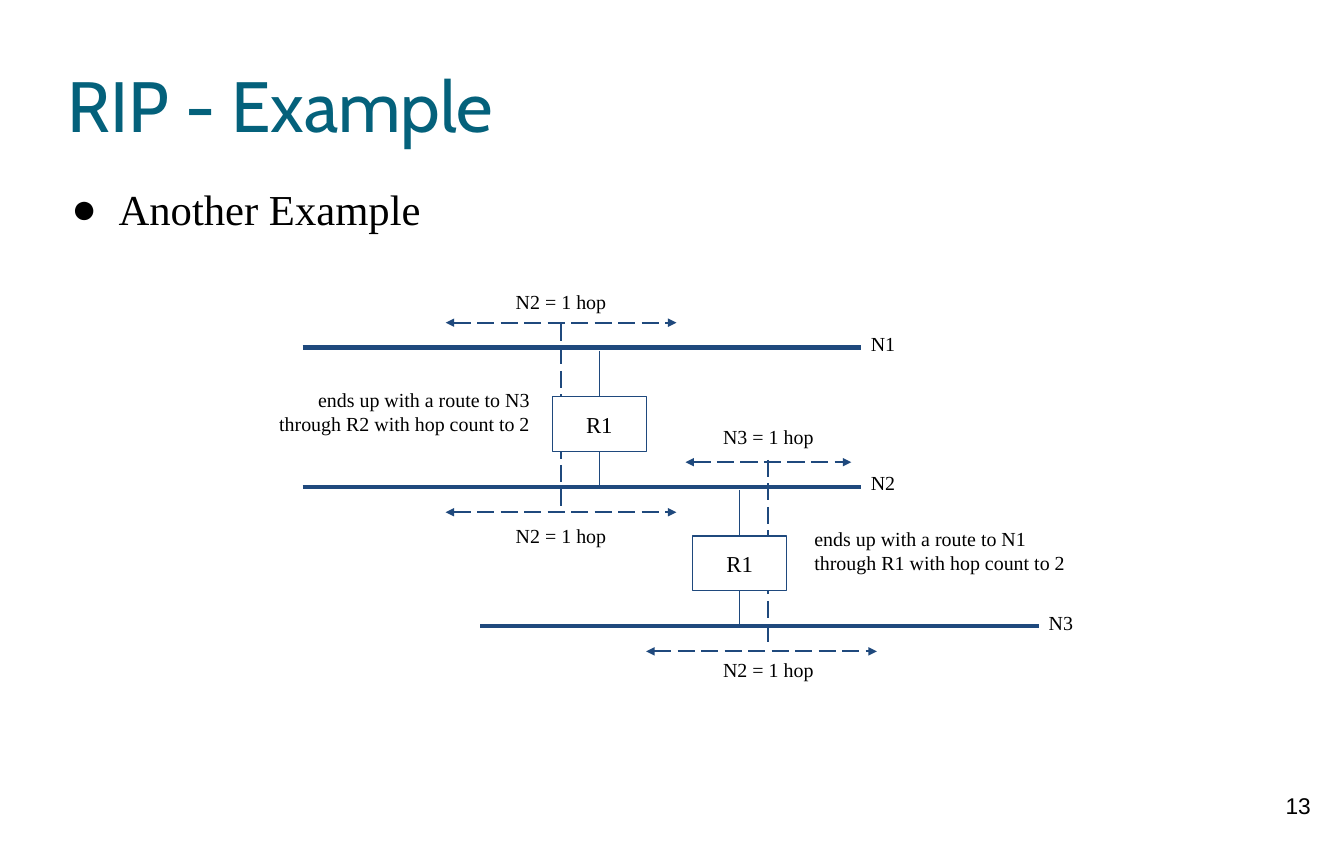
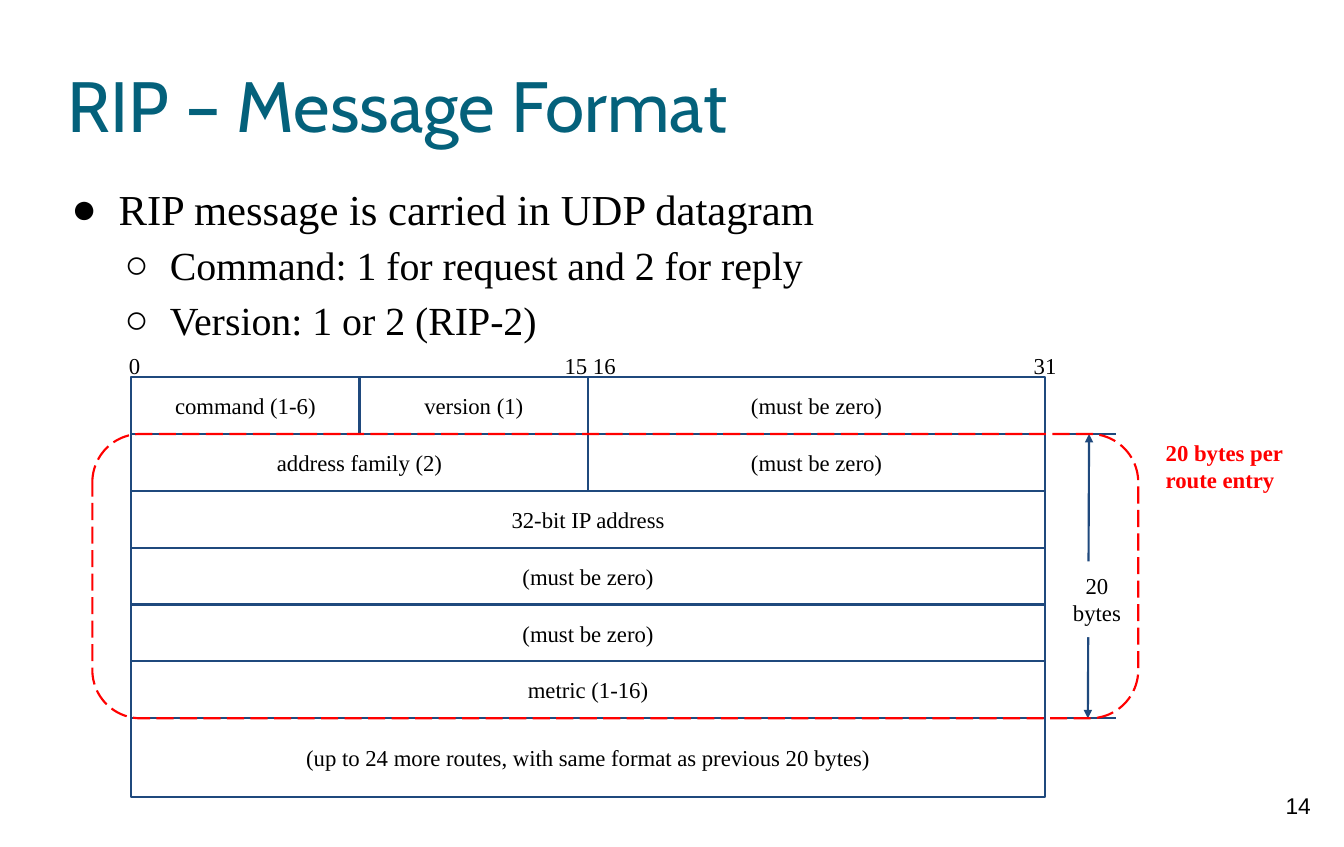
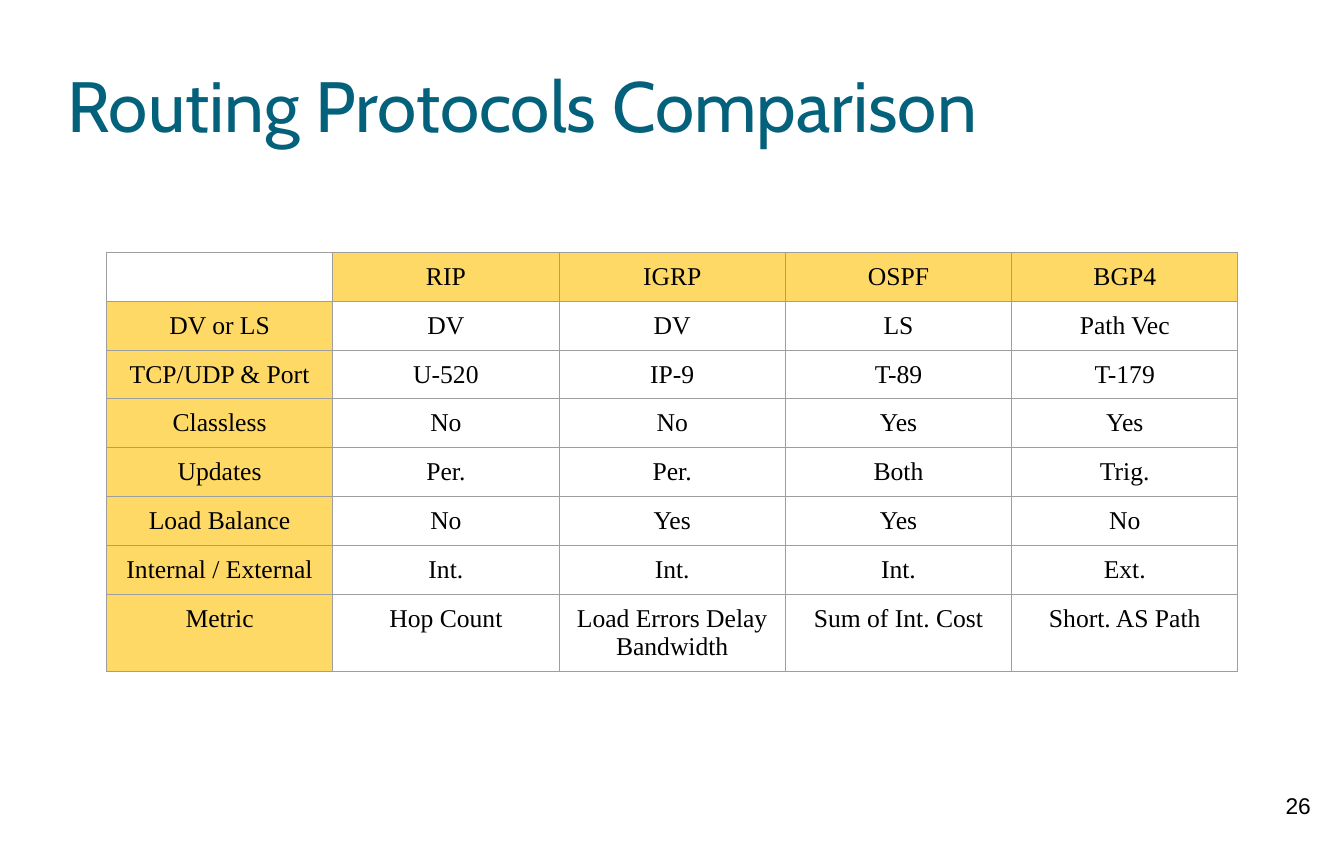
from lxml import etree
from pptx import Presentation
from pptx.dml.color import RGBColor
from pptx.enum.dml import MSO_LINE
from pptx.enum.shapes import MSO_CONNECTOR, MSO_SHAPE
from pptx.enum.text import MSO_ANCHOR, MSO_AUTO_SIZE, PP_ALIGN
from pptx.oxml.ns import qn
from pptx.util import Cm, Pt

LEFT, CENTER, RIGHT = PP_ALIGN.LEFT, PP_ALIGN.CENTER, PP_ALIGN.RIGHT
TOP, MIDDLE = MSO_ANCHOR.TOP, MSO_ANCHOR.MIDDLE
LONG_DASH = MSO_LINE.LONG_DASH
STRAIGHT = MSO_CONNECTOR.STRAIGHT
RECTANGLE, ROUNDED = MSO_SHAPE.RECTANGLE, MSO_SHAPE.ROUNDED_RECTANGLE

# Shared style
TEAL, NAVY, BLACK, WHITE = "04617B", "1F497D", "000000", "FFFFFF"
RED, YELLOW, GREY = "FF0000", "FFD966", "9E9E9E"
TITLE_FONT, BODY_FONT, NUMBER_FONT = "Cabin", "Times New Roman", "Arial"
INSET = 0.25
TITLE_AND_CONTENT, TITLE_ONLY = 1, 5
# Per list level: bullet, size, left margin, hanging indent
LEVELS = [("●", 30, 1.27, -1.17), ("○", 28, 2.54, -1.12)]

# Network diagram
NETWORK_TOP, NETWORK_PITCH, NETWORK_LENGTH = 8.62, 3.45, 13.84
NETWORKS = [("N1", 7.5), ("N2", 7.5), ("N3", 11.91)]
ROUTERS = [("R1", 14.86), ("R1", 18.34)]
ROUTER_WIDTH, ROUTER_HEIGHT, ROUTER_DROP = 2.34, 1.35, 1.22
# Label, label top, label centre, arrow centre, arrow length, arrow height
ADVERTS = [
    ("N2 = 1 hop", 6.93, 13.91, 13.91, 5.72, 8.0),
    ("N2 = 1 hop", 12.73, 13.91, 13.91, 5.72, 12.7),
    ("N3 = 1 hop", 10.29, 19.05, 19.05, 4.11, 11.46),
    ("N2 = 1 hop", 16.05, 19.05, 18.88, 5.72, 16.15),
]
ADVERT_PATHS = [(13.91, 8.03, 12.73), (19.05, 11.4, 16.05)]
# Lines, left, top, alignment
ROUTE_NOTES = [
    ("ends up with a route to N3\vthrough R2 with hop count to 2", 2.9, 9.35, RIGHT),
    ("ends up with a route to N1\vthrough R1 with hop count to 2", 19.94, 12.8, LEFT),
]

# Message format: each row lists (field, width in bits)
MESSAGE_ITEMS = [
    ("RIP message is carried in UDP datagram", 0),
    ("Command: 1 for request and 2 for reply", 1),
    ("Version: 1 or 2 (RIP-2)", 1),
]
MESSAGE_ROWS = [
    [("command (1-6)", 8), ("version (1)", 8), ("(must be zero)", 16)],
    [("address family (2)", 16), ("(must be zero)", 16)],
    [("32-bit IP address", 32)],
    [("(must be zero)", 32)],
    [("(must be zero)", 32)],
    [("metric (1-16)", 32)],
    [("(up to 24 more routes, with same format as previous 20 bytes)", 32)],
]
BIT_MARKS = [("0", 3.34), ("15 16", 14.63), ("31", 25.91)]
MESSAGE_LEFT, MESSAGE_TOP, MESSAGE_WIDTH = 3.25, 9.35, 22.66
ROW_HEIGHT, LAST_ROW_HEIGHT = 1.41, 1.96

# Protocol comparison
COMPARISON = [
    ("", "RIP", "IGRP", "OSPF", "BGP4"),
    ("DV or LS", "DV", "DV", "LS", "Path Vec"),
    ("TCP/UDP & Port", "U-520", "IP-9", "T-89", "T-179"),
    ("Classless", "No", "No", "Yes", "Yes"),
    ("Updates", "Per.", "Per.", "Both", "Trig."),
    ("Load Balance", "No", "Yes", "Yes", "No"),
    ("Internal / External", "Int.", "Int.", "Int.", "Ext."),
    ("Metric", "Hop Count", "Load Errors Delay Bandwidth",
     "Sum of Int. Cost", "Short. AS Path"),
]


def color(value):
    return RGBColor.from_string(value)


def place(shape, left, top, width, height):
    shape.left, shape.top = Cm(left), Cm(top)
    shape.width, shape.height = Cm(width), Cm(height)


def set_frame(frame, inset=INSET, anchor=TOP):
    frame.word_wrap = True
    frame.auto_size = MSO_AUTO_SIZE.NONE
    frame.vertical_anchor = anchor
    frame.margin_left = frame.margin_right = Cm(inset)
    frame.margin_top = frame.margin_bottom = Cm(inset)


def write(paragraph, text, size, font=BODY_FONT, ink=BLACK, align=LEFT,
          bold=False, spacing=1.0):
    """Fill a paragraph; a vertical tab in the text breaks the line."""
    paragraph.alignment = align
    paragraph.line_spacing = spacing
    for index, line in enumerate(text.split("\v")):
        if index:
            paragraph.add_line_break()
        run = paragraph.add_run()
        run.text = line
        run.font.size, run.font.name, run.font.bold = Pt(size), font, bold
        run.font.color.rgb = color(ink)


def add_text(slide, text, left, top, width, height, size, **style):
    box = slide.shapes.add_textbox(Cm(left), Cm(top), Cm(width), Cm(height))
    set_frame(box.text_frame)
    write(box.text_frame.paragraphs[0], text, size, **style)
    return box


def add_box(slide, left, top, width, height, text="", preset=RECTANGLE,
            fill=None, ink=NAVY, weight=1.5):
    shape = slide.shapes.add_shape(preset, Cm(left), Cm(top), Cm(width), Cm(height))
    shape.shadow.inherit = False
    if fill:
        shape.fill.solid()
        shape.fill.fore_color.rgb = color(fill)
    else:
        shape.fill.background()
    shape.line.color.rgb = color(ink)
    shape.line.width = Pt(weight)
    if text:
        set_frame(shape.text_frame, anchor=MIDDLE)
        write(shape.text_frame.paragraphs[0], text, 16, align=CENTER)
    return shape


def add_line(slide, x1, y1, x2, y2, weight=1.5, dashed=False, arrows=False):
    line = slide.shapes.add_connector(STRAIGHT, Cm(x1), Cm(y1), Cm(x2), Cm(y2))
    line.line.color.rgb = color(NAVY)
    line.line.width = Pt(weight)
    if dashed:
        line.line.dash_style = LONG_DASH
    properties = line._element.spPr
    if arrows:
        outline = properties.find(qn("a:ln"))
        for end in ("a:headEnd", "a:tailEnd"):
            etree.SubElement(outline, qn(end), type="triangle")
    etree.SubElement(properties, qn("a:effectLst"))


def add_slide(presentation, layout, title, number):
    slide = presentation.slides.add_slide(presentation.slide_layouts[layout])
    heading = slide.shapes.title
    place(heading, 1.67, 0.82, 30, 3.51)
    set_frame(heading.text_frame, 0, MIDDLE)
    write(heading.text_frame.paragraphs[0], title, 50, TITLE_FONT, TEAL)
    add_text(slide, number, 31.18, 19.38, 2.01, 1.6, 16, font=NUMBER_FONT, align=CENTER)
    return slide


def fill_list(slide, items, height):
    body = slide.placeholders[1]
    place(body, 1.67, 4.34, 30.07, height)
    frame = body.text_frame
    set_frame(frame, 0)
    for index, (text, level) in enumerate(items):
        paragraph = frame.add_paragraph() if index else frame.paragraphs[0]
        bullet, size, margin, indent = LEVELS[level]
        paragraph.level = level
        properties = paragraph._p.get_or_add_pPr()
        properties.set("marL", str(Cm(margin)))
        properties.set("indent", str(Cm(indent)))
        bullet_color = etree.SubElement(properties, qn("a:buClr"))
        etree.SubElement(bullet_color, qn("a:srgbClr"), val=BLACK)
        etree.SubElement(properties, qn("a:buChar"), char=bullet)
        paragraph.space_before = Pt(0)
        write(paragraph, text, size, spacing=1.15)


def border_cell(cell):
    properties = cell._tc.get_or_add_tcPr()
    for index, side in enumerate(("a:lnL", "a:lnR", "a:lnT", "a:lnB")):
        line = etree.Element(qn(side), w=str(Pt(0.75)))
        fill = etree.SubElement(line, qn("a:solidFill"))
        etree.SubElement(fill, qn("a:srgbClr"), val=GREY)
        properties.insert(index, line)


def build_example(presentation):
    slide = add_slide(presentation, TITLE_AND_CONTENT, "RIP - Example", "13")
    fill_list(slide, [("Another Example", 0)], 1.27)

    # Networks
    for index, (name, left) in enumerate(NETWORKS):
        y = NETWORK_TOP + index * NETWORK_PITCH
        right = left + NETWORK_LENGTH
        add_line(slide, left, y, right, y, weight=3)
        add_text(slide, name, right, y - 0.64, 4.67, 1.12, 14)

    # Advertised routes
    for label, label_top, label_center, center, length, y in ADVERTS:
        add_line(slide, center - length / 2, y, center + length / 2, y,
                 dashed=True, arrows=True)
        add_text(slide, label, label_center - 1.8, label_top, 3.6, 1.12, 14,
                 align=CENTER)
    for x, top, bottom in ADVERT_PATHS:
        add_line(slide, x, top, x, bottom, dashed=True)

    # Routers between neighbouring networks
    for index, (name, center) in enumerate(ROUTERS):
        upper = NETWORK_TOP + index * NETWORK_PITCH
        top = upper + ROUTER_DROP
        add_line(slide, center, upper + 0.08, center, top, weight=0.75)
        add_line(slide, center, top + ROUTER_HEIGHT, center,
                 upper + NETWORK_PITCH, weight=0.75)
        add_box(slide, center - ROUTER_WIDTH / 2, top, ROUTER_WIDTH, ROUTER_HEIGHT,
                name, fill=WHITE, weight=0.75)

    for text, left, top, align in ROUTE_NOTES:
        add_text(slide, text, left, top, 10.49, 1.7, 14, align=align)


def build_message_format(presentation):
    slide = add_slide(presentation, TITLE_AND_CONTENT, "RIP – Message Format", "14")
    fill_list(slide, MESSAGE_ITEMS, 4.04)

    # Message fields
    last = len(MESSAGE_ROWS) - 1
    for index, fields in enumerate(MESSAGE_ROWS):
        left = MESSAGE_LEFT
        height = LAST_ROW_HEIGHT if index == last else ROW_HEIGHT
        for text, bits in fields:
            width = MESSAGE_WIDTH * bits / 32
            add_box(slide, left, MESSAGE_TOP + index * ROW_HEIGHT, width, height, text)
            left += width
    for mark, center in BIT_MARKS:
        add_text(slide, mark, center - 1, 8.48, 2, 1.19, 16, align=CENTER)

    # Size of one route entry
    entry_top = MESSAGE_TOP + ROW_HEIGHT
    entry_bottom = MESSAGE_TOP + last * ROW_HEIGHT
    for y in (entry_top, entry_bottom):
        add_line(slide, 26.29, y, 27.66, y)
    add_line(slide, 27, entry_top, 26.97, entry_bottom, arrows=True)
    size_label = add_text(slide, "20 bytes", 26.13, 13.92, 2.13, 1.88, 16, align=CENTER)
    size_label.fill.solid()
    size_label.fill.fore_color.rgb = color(WHITE)

    # Route entry outline
    outline = add_box(slide, 2.29, entry_top, 25.93, entry_bottom - entry_top,
                      preset=ROUNDED, ink=RED)
    outline.adjustments[0] = 0.17
    outline.line.dash_style = LONG_DASH
    add_text(slide, "20 bytes per\vroute entry", 28.65, 10.62, 3.6, 1.88, 16,
             ink=RED, bold=True)


def build_comparison(presentation):
    slide = add_slide(presentation, TITLE_ONLY, "Routing Protocols Comparison", "26")
    rows, columns = len(COMPARISON), len(COMPARISON[0])
    column_width, row_height, last_height = 5.61, 1.21, 1.91
    table = slide.shapes.add_table(
        rows, columns, Cm(2.64), Cm(6.26), Cm(columns * column_width),
        Cm((rows - 1) * row_height + last_height)).table
    table.first_row = table.horz_banding = False
    for column in table.columns:
        column.width = Cm(column_width)
    for row_index, values in enumerate(COMPARISON):
        table.rows[row_index].height = Cm(
            last_height if row_index == rows - 1 else row_height)
        for column_index, text in enumerate(values):
            cell = table.cell(row_index, column_index)
            is_header = (row_index == 0) != (column_index == 0)
            cell.fill.solid()
            cell.fill.fore_color.rgb = color(YELLOW if is_header else WHITE)
            cell.margin_left = cell.margin_right = Cm(INSET)
            # The empty corner must not stretch the header row
            cell.margin_top = cell.margin_bottom = Cm(INSET if text else 0)
            border_cell(cell)
            if text:
                write(cell.text_frame.paragraphs[0], text, 18, align=CENTER)


def main():
    presentation = Presentation()
    presentation.slide_width, presentation.slide_height = Cm(33.32), Cm(21)
    build_example(presentation)
    build_message_format(presentation)
    build_comparison(presentation)
    presentation.save("out.pptx")


if __name__ == "__main__":
    main()
